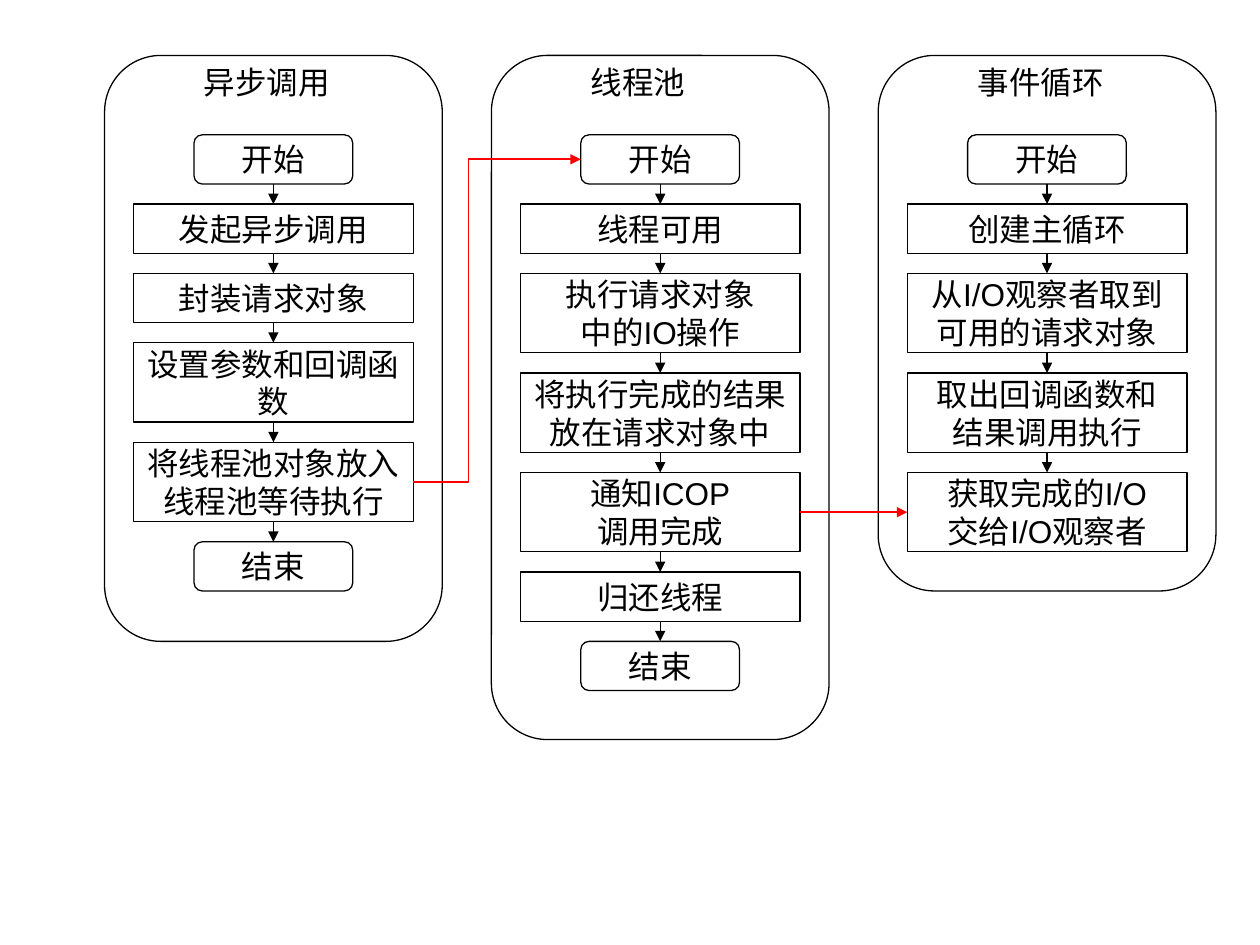
from dataclasses import dataclass

from lxml import etree
from pptx import Presentation
from pptx.dml.color import RGBColor
from pptx.enum.shapes import MSO_CONNECTOR, MSO_SHAPE
from pptx.enum.text import MSO_ANCHOR, PP_ALIGN
from pptx.oxml.ns import qn
from pptx.util import Inches, Pt

ROUNDED, RECT = MSO_SHAPE.ROUNDED_RECTANGLE, MSO_SHAPE.RECTANGLE
STRAIGHT, ELBOW = MSO_CONNECTOR.STRAIGHT, MSO_CONNECTOR.ELBOW
LEFT, CENTER = PP_ALIGN.LEFT, PP_ALIGN.CENTER
TOP, MIDDLE = MSO_ANCHOR.TOP, MSO_ANCHOR.MIDDLE
SIDE_TOP, SIDE_LEFT, SIDE_BOTTOM, SIDE_RIGHT = range(4)


@dataclass(frozen=True)
class Theme:
    ink: RGBColor = RGBColor(0, 0, 0)
    handoff: RGBColor = RGBColor(255, 0, 0)
    font: str = "Arial"
    text_size: float = 18
    outline: float = 0.75
    handoff_width: float = 1


LANE_LEFT, LANE_TOP, LANE_WIDTH, LANE_PITCH = 0.83, 0.44, 2.68, 3.07
FIRST_STEP_TOP, STEP_GAP = 1.07, 0.16
STEP_WIDTH, TERMINAL_WIDTH = 2.22, 1.26
SHORT_HEIGHT, TALL_HEIGHT = 0.39, 0.63
TERMINALS = ("开始", "结束")
ONE_LINE_CHARS = 6

# Each lane: title, height, steps from top to bottom
LANES = [
    ("异步调用", 4.65, ["开始", "发起异步调用", "封装请求对象", "设置参数和回调函数",
                    "将线程池对象放入线程池等待执行", "结束"]),
    ("线程池", 5.43, ["开始", "线程可用", "执行请求对象\n中的IO操作",
                   "将执行完成的结果放在请求对象中", "通知ICOP\n调用完成", "归还线程", "结束"]),
    ("事件循环", 4.25, ["开始", "创建主循环", "从I/O观察者取到可用的请求对象",
                    "取出回调函数和\n结果调用执行", "获取完成的I/O\n交给I/O观察者"]),
]


class FlowSlide:
    def __init__(self, slide, theme):
        self.slide = slide
        self.theme = theme

    def set_text(self, frame, text, *, align=CENTER, anchor=MIDDLE, wrap=True):
        frame.word_wrap = wrap
        frame.vertical_anchor = anchor
        frame.text = text
        for paragraph in frame.paragraphs:
            paragraph.alignment = align
            font = paragraph.font
            font.name = self.theme.font
            font.size = Pt(self.theme.text_size)
            font.color.rgb = self.theme.ink

    def box(self, kind, left, top, width, height):
        outline = self.slide.shapes.add_shape(
            kind, Inches(left), Inches(top), Inches(width), Inches(height))
        outline.shadow.inherit = False
        outline.fill.background()
        outline.line.color.rgb = self.theme.ink
        outline.line.width = Pt(self.theme.outline)
        return outline

    def title(self, left, top, text):
        label = self.slide.shapes.add_textbox(
            Inches(left), Inches(top), Inches(1.25), Inches(0.4))
        self.set_text(label.text_frame, text, align=LEFT, anchor=TOP)

    def step(self, center, top, text):
        """Draw one step and return it with its height."""
        terminal = text in TERMINALS
        one_line = len(text) <= ONE_LINE_CHARS
        width = TERMINAL_WIDTH if terminal else STEP_WIDTH
        height = SHORT_HEIGHT if one_line else TALL_HEIGHT
        kind = ROUNDED if terminal else RECT
        step = self.box(kind, center - width / 2, top, width, height)
        self.set_text(step.text_frame, text, wrap=not one_line)
        return step, height

    def arrow(self, source, source_side, target, target_side, *,
              kind=STRAIGHT, color=None, width=None, bend=None):
        """Join two steps; bend is the elbow's place as a share of its width."""
        arrow = self.slide.shapes.add_connector(kind, 0, 0, 0, 0)
        arrow.begin_connect(source, source_side)
        arrow.end_connect(target, target_side)
        arrow.line.color.rgb = color or self.theme.ink
        arrow.line.width = Pt(width or self.theme.outline)
        properties = arrow.element.spPr
        etree.SubElement(properties.find(qn("a:ln")), qn("a:tailEnd"), type="triangle")
        etree.SubElement(properties, qn("a:effectLst"))
        if bend is not None:
            guides = properties.find(qn("a:prstGeom")).find(qn("a:avLst"))
            etree.SubElement(guides, qn("a:gd"), name="adj1",
                             fmla=f"val {round(bend * 100000)}")

    def handoff(self, source, target, **format_options):
        self.arrow(source, SIDE_RIGHT, target, SIDE_LEFT, color=self.theme.handoff,
                   width=self.theme.handoff_width, **format_options)

    def lane(self, left, title, height, step_texts):
        """Draw a lane with its chain of steps and return the steps."""
        self.box(ROUNDED, left, LANE_TOP, LANE_WIDTH, height)
        self.title(left + 0.69, LANE_TOP + 0.01, title)
        steps = []
        top = FIRST_STEP_TOP
        for text in step_texts:
            step, step_height = self.step(left + LANE_WIDTH / 2, top, text)
            if steps:
                self.arrow(steps[-1], SIDE_BOTTOM, step, SIDE_TOP)
            steps.append(step)
            top += step_height + STEP_GAP
        return steps


def main():
    deck = Presentation()
    deck.slide_width, deck.slide_height = Inches(10), Inches(7.5)
    flow = FlowSlide(deck.slides.add_slide(deck.slide_layouts[6]), Theme())
    call, pool, loop = [
        flow.lane(LANE_LEFT + index * LANE_PITCH, *lane)
        for index, lane in enumerate(LANES)
    ]
    flow.handoff(call[4], pool[0], kind=ELBOW, bend=0.33)
    flow.handoff(pool[4], loop[4])
    deck.save("out.pptx")


if __name__ == "__main__":
    main()
